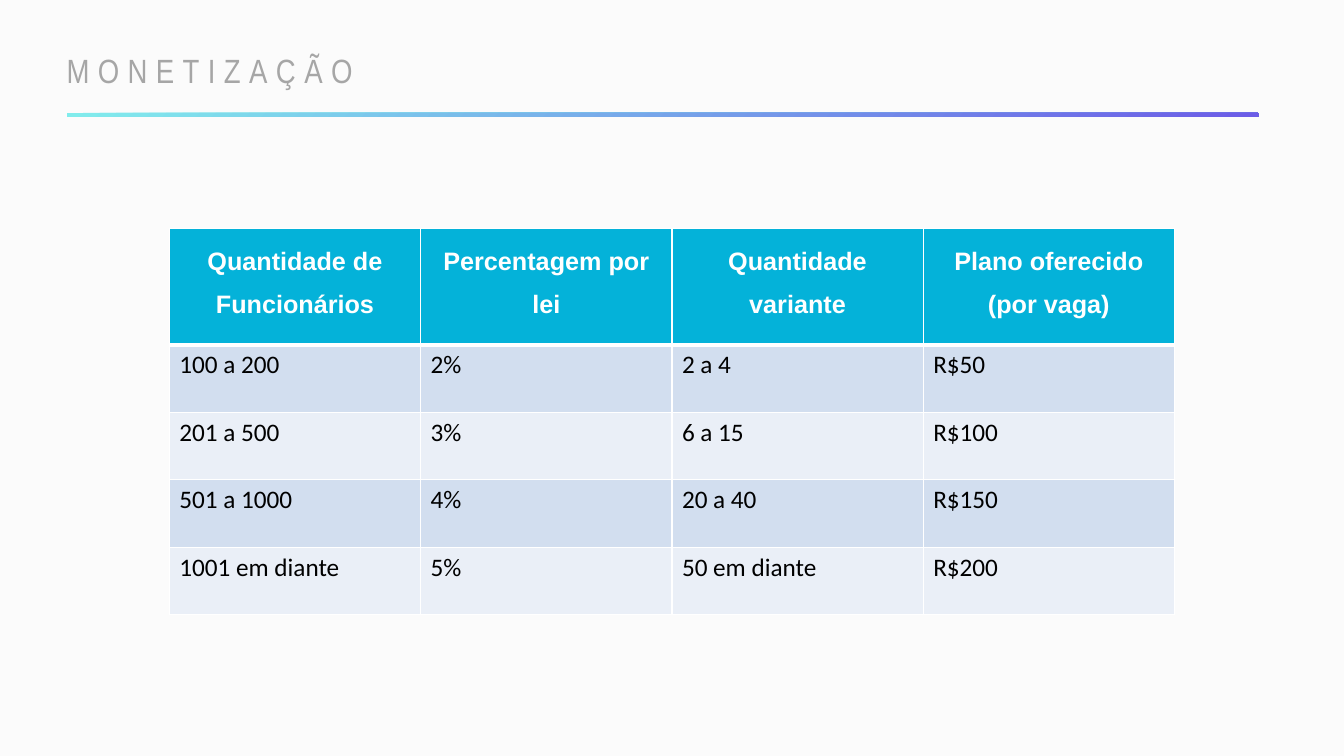
from dataclasses import dataclass

from lxml.etree import SubElement
from pptx import Presentation
from pptx.dml.color import RGBColor
from pptx.enum.shapes import MSO_SHAPE
from pptx.enum.text import MSO_ANCHOR, MSO_AUTO_SIZE, PP_ALIGN
from pptx.oxml.ns import qn
from pptx.slide import Slide
from pptx.table import _Cell
from pptx.util import Inches, Pt

BACKGROUND = RGBColor(0xFB, 0xFB, 0xFB)
GREY = RGBColor(0xA6, 0xA6, 0xA6)
PURPLE = RGBColor(0x6C, 0x5C, 0xE7)
AQUA = RGBColor(0x81, 0xEC, 0xEC)
CYAN = RGBColor(0x04, 0xB2, 0xD9)
BLUE_BAND = RGBColor(0xD2, 0xDE, 0xEF)
PALE_BAND = RGBColor(0xEA, 0xEF, 0xF7)
WHITE = RGBColor(0xFF, 0xFF, 0xFF)
BLACK = RGBColor(0x00, 0x00, 0x00)


@dataclass(frozen=True)
class RowStyle:
    fill: RGBColor
    color: RGBColor = BLACK
    font: str = "Calibri"
    bold: bool = False
    align: PP_ALIGN = PP_ALIGN.LEFT
    spacing: float = 1.0
    height: float = 0.67
    top_border: float = 1
    bottom_border: float = 1


@dataclass(frozen=True)
class PlanRow:
    texts: tuple[str, ...]
    style: RowStyle


HEADER = RowStyle(CYAN, WHITE, "Arial", True, PP_ALIGN.CENTER, 1.5, 1.15, bottom_border=3)
FIRST = RowStyle(BLUE_BAND, top_border=3)
BLUE = RowStyle(BLUE_BAND)
PALE = RowStyle(PALE_BAND)

PLAN_ROWS = [
    PlanRow(("Quantidade de Funcionários", "Percentagem por lei",
             "Quantidade variante", "Plano oferecido (por vaga)"), HEADER),
    PlanRow(("100 a 200", "2%", "2 a 4", "R$50"), FIRST),
    PlanRow(("201 a 500", "3%", "6 a 15", "R$100"), PALE),
    PlanRow(("501 a 1000", "4%", "20 a 40", "R$150"), BLUE),
    PlanRow(("1001 em diante", "5%", "50 em diante", "R$200"), PALE),
]


def add_title(slide: Slide, text: str) -> None:
    s = slide.shapes.title
    s.left, s.top, s.width, s.height = map(Inches, (0.56, 0.44, 4.72, 0.5))
    tf = s.text_frame
    tf.text = text
    tf.word_wrap = True
    tf.auto_size = MSO_AUTO_SIZE.SHAPE_TO_FIT_TEXT
    tf.vertical_anchor = MSO_ANCHOR.TOP
    p = tf.paragraphs[0]
    p.alignment = PP_ALIGN.LEFT
    r = p.runs[0]
    r.font.name = "Arial Narrow"
    r.font.size = Pt(24)
    r.font.color.rgb = GREY
    r.font._element.set("spc", "600")


def add_title_rule(slide: Slide) -> None:
    s = slide.shapes.add_shape(MSO_SHAPE.ROUND_2_DIAG_RECTANGLE, Inches(0.66),
                               Inches(1.12), Inches(11.82), Inches(0.04))
    s.shadow.inherit = False
    s.line.fill.background()
    s.fill.gradient()
    for stop, color in zip(s.fill.gradient_stops, (PURPLE, AQUA)):
        stop.color.rgb = color
    sp_pr = s._element.spPr
    sp_pr.find(qn("a:xfrm")).set("flipV", "1")
    gradient = sp_pr.find(qn("a:gradFill"))
    gradient.remove(gradient.find(qn("a:lin")))
    radial = SubElement(gradient, qn("a:path"), path="circle")
    SubElement(radial, qn("a:fillToRect"), l="100000", t="100000")


def add_borders(cell: _Cell, style: RowStyle) -> None:
    tc_pr = cell._tc.get_or_add_tcPr()
    widths = {"L": 1, "R": 1, "T": style.top_border, "B": style.bottom_border}
    for side, width in widths.items():
        line = SubElement(tc_pr, qn(f"a:ln{side}"), w=str(Pt(width)))
        solid = SubElement(line, qn("a:solidFill"))
        SubElement(solid, qn("a:srgbClr"), val=str(WHITE))


def fill_cell(cell: _Cell, text: str, style: RowStyle) -> None:
    add_borders(cell, style)
    cell.fill.solid()
    cell.fill.fore_color.rgb = style.fill
    cell.text_frame.text = text
    p = cell.text_frame.paragraphs[0]
    p.alignment = style.align
    p.line_spacing = style.spacing
    font = p.runs[0].font
    font.name = style.font
    font.size = Pt(18)
    font.bold = style.bold
    font.color.rgb = style.color


def add_plan_table(slide: Slide, rows: list[PlanRow]) -> None:
    total_height = sum(row.style.height for row in rows)
    table = slide.shapes.add_table(len(rows), len(rows[0].texts), Inches(1.68), Inches(2.27),
                                   Inches(9.97), Inches(total_height)).table
    for i, row in enumerate(rows):
        table.rows[i].height = Inches(row.style.height)
        for j, text in enumerate(row.texts):
            fill_cell(table.cell(i, j), text, row.style)


def main() -> None:
    prs = Presentation()
    prs.slide_width, prs.slide_height = Inches(13.33), Inches(7.5)
    slide = prs.slides.add_slide(prs.slide_layouts[5])
    slide.background.fill.solid()
    slide.background.fill.fore_color.rgb = BACKGROUND
    add_title(slide, "MONETIZAÇÃO")
    add_title_rule(slide)
    add_plan_table(slide, PLAN_ROWS)
    prs.save("out.pptx")


if __name__ == "__main__":
    main()
